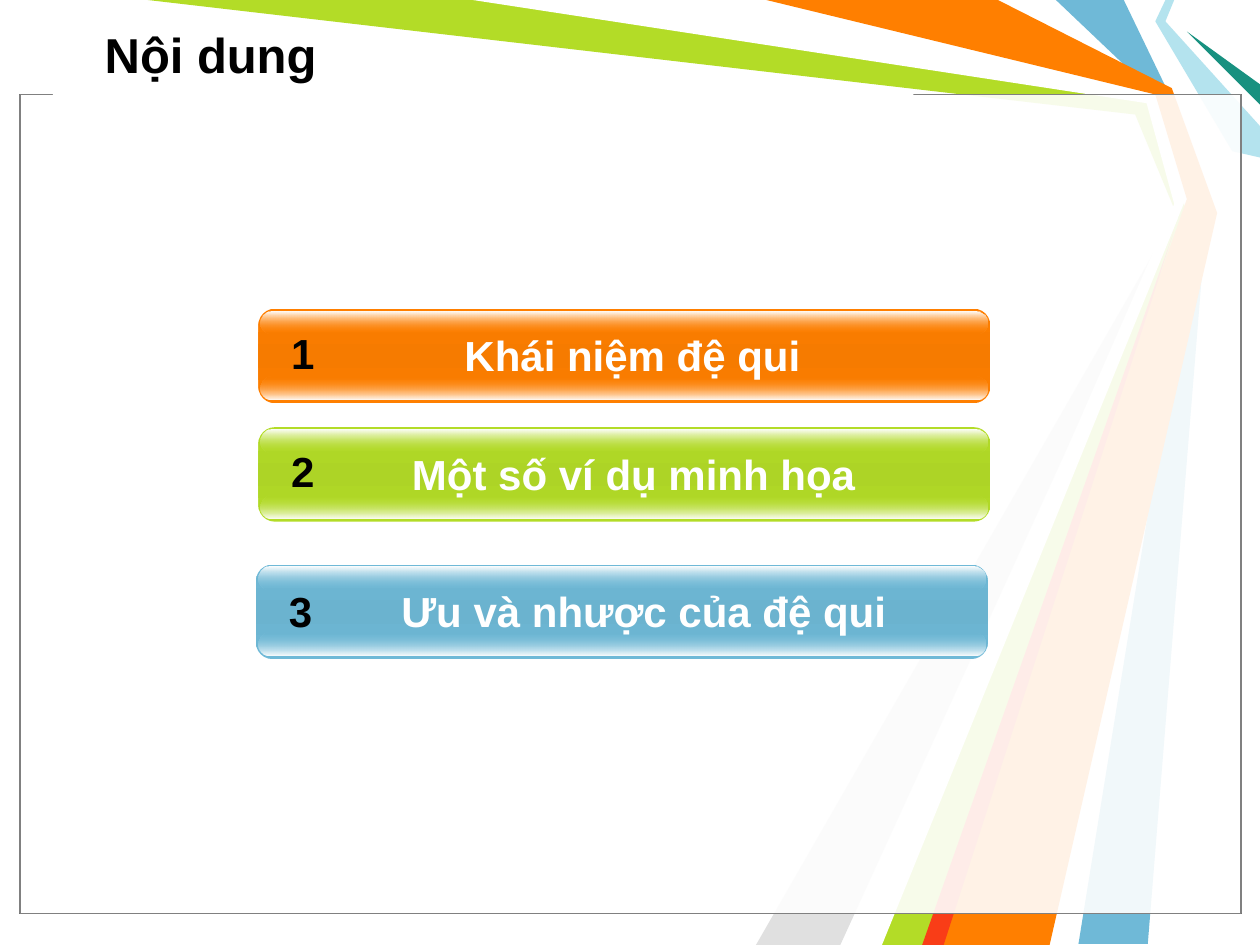
from dataclasses import dataclass

from pptx import Presentation
from pptx.dml.color import RGBColor
from pptx.enum.shapes import MSO_SHAPE
from pptx.enum.text import MSO_ANCHOR, PP_ALIGN
from pptx.oxml import parse_xml
from pptx.oxml.ns import nsdecls
from pptx.util import Pt


@dataclass(frozen=True)
class Theme:
    font: str = "Arial"
    head: int = 28
    body: int = 24
    black: str = "000000"
    white: str = "FFFFFF"
    gray: str = "808080"
    pale: str = "E0E0E0"
    orange: str = "FF7F00"
    green: str = "B3DC27"
    blue: str = "6FB9D7"
    sky: str = "B4E3EE"
    teal: str = "189180"
    red: str = "F93D17"
    veil: int = 69


theme = Theme()

# Ribbons from back to front: colour and corners in points
RIBBONS = [
    (theme.blue, [(642.2, 0), (668.9, 55.4), (689.8, 120.2), (655.9, 539.3),
                  (616.3, 539.3), (684, 120.2), (660.2, 54), (603.4, 0)]),
    (theme.green, [(84.2, 0), (275.8, 0), (658.1, 56.2), (678.2, 121.7),
                   (534.2, 540), (498.2, 540), (673.2, 124.6), (648.7, 65.5)]),
    (theme.pale, [(480.2, 540), (667.4, 130.3), (432, 540)]),
    (theme.white, [(270, 0), (655.2, 59), (671, 116.6), (486, 540),
                   (504, 540), (677.5, 113.8), (660.2, 54), (432, 0)]),
    (theme.sky, [(666, 0), (660.2, 12.2), (704.2, 86.4), (720, 90),
                 (720, 72), (666, 12.2), (671, 0)]),
    (theme.teal, [(720, 59.8), (678.2, 18), (720, 48.2)]),
    (theme.orange, [(437.8, 0), (570.2, 0), (669.6, 50.4), (695.5, 121.7),
                    (599.8, 540), (527.8, 540), (678.2, 113.8), (660.2, 54)]),
    (theme.red, [(527, 540), (671, 131.8), (539.3, 540)]),
]

# Agenda: text, colour, middle shade, bar corner, label shift, number drop
ITEMS = [
    ("Khái niệm đệ qui", theme.orange, "F67B00", (147.6, 176.4), 36.7, 7.2),
    ("Một số ví dụ minh họa", theme.green, "ADD426", (147.6, 244.1), 37.4, 7.2),
    ("Ưu và nhược của đệ qui", theme.blue, "6BB3CF", (146.2, 322.6), 44.6, 8.6),
]


def color(code):
    return RGBColor.from_string(code)


def paint(shape, code):
    shape.fill.solid()
    shape.fill.fore_color.rgb = color(code)
    shape.line.fill.background()
    shape.shadow.inherit = False


def shade(shape, stops):
    """Fill from top to bottom; a stop is (place, colour, opacity), in percent."""
    marks = "".join(
        f'<a:gs pos="{pos * 1000}"><a:srgbClr val="{code}">'
        f'<a:alpha val="{alpha * 1000}"/></a:srgbClr></a:gs>'
        for pos, code, alpha in stops)
    shape._element.spPr.append(parse_xml(
        f'<a:gradFill {nsdecls("a")} rotWithShape="1"><a:gsLst>{marks}</a:gsLst>'
        '<a:lin ang="5400000" scaled="1"/></a:gradFill>'))
    shape.line.fill.background()
    shape.shadow.inherit = False


def style(frame, size, code, align):
    para = frame.paragraphs[0]
    para.alignment = align
    font = para.runs[0].font
    font.name, font.size, font.bold = theme.font, Pt(size), True
    font.color.rgb = color(code)


def add_box(slide, kind, box):
    return slide.shapes.add_shape(kind, *map(Pt, box))


def add_text(slide, box, text, code):
    frame = slide.shapes.add_textbox(*map(Pt, box)).text_frame
    frame.word_wrap = True
    frame.text = text
    style(frame, theme.body, code, PP_ALIGN.CENTER)


def add_ribbon(slide, code, dots):
    first, *rest = [(Pt(x), Pt(y)) for x, y in dots]
    pen = slide.shapes.build_freeform(*first)
    pen.add_line_segments(rest, close=True)
    paint(pen.convert_to_shape(), code)


def add_panel(slide, box):
    # Two veils lie over the ribbons
    for edge in (theme.black, theme.gray):
        veil = add_box(slide, MSO_SHAPE.RECTANGLE, box)
        paint(veil, theme.white)
        tint = veil._element.spPr.find(".//{*}solidFill/{*}srgbClr")
        tint.append(parse_xml(
            f'<a:alpha {nsdecls("a")} val="{theme.veil * 1000}"/>'))
        veil.line.color.rgb = color(edge)
        veil.line.width = Pt(0.75)
    # Gap in the top edge below the title
    left, top = box[:2]
    gap = add_box(slide, MSO_SHAPE.RECTANGLE,
                  (left + 18.7, top - 0.7, 491.8, 12.2))
    paint(gap, theme.white)


def add_title(slide, box, text):
    title = slide.shapes.title
    title.left, title.top, title.width, title.height = map(Pt, box)
    frame = title.text_frame
    frame.text = text
    frame.vertical_anchor = MSO_ANCHOR.MIDDLE
    style(frame, theme.head, theme.black, PP_ALIGN.LEFT)
    # Bring the title in front of the ribbons
    title._element.getparent().append(title._element)


def add_bar(slide, box, code, mid):
    left, top, width, height = box
    bar = add_box(slide, MSO_SHAPE.ROUNDED_RECTANGLE, box)
    bar.adjustments[0] = 0.175
    shade(bar, [(0, code, 100), (50, mid, 100), (100, code, 100)])
    # Gloss along the lower and upper edges
    inset, thick = 1.4, 13
    clear, shine = (code, 0), (theme.white, 100)
    for y, start, end in ((top + height - thick - 2.1, clear, shine),
                          (top + inset, shine, clear)):
        gloss = add_box(slide, MSO_SHAPE.ROUNDED_RECTANGLE,
                        (left + inset, y, width - 2 * inset, thick))
        gloss.adjustments[0] = 0.5
        shade(gloss, [(0, *start), (100, *end)])


def add_item(slide, box, count, item):
    text, code, mid, _, shift, drop = item
    left, top = box[:2]
    add_bar(slide, box, code, mid)
    add_text(slide, (left + shift, top + 8.4, 354.2, 36), text, theme.white)
    add_text(slide, (left + 10.4, top + drop, 30.2, 36), str(count), theme.black)


def main():
    deck = Presentation()
    deck.slide_width, deck.slide_height = Pt(720), Pt(540)
    slide = deck.slides.add_slide(deck.slide_layouts[5])
    for code, dots in RIBBONS:
        add_ribbon(slide, code, dots)
    add_panel(slide, (11.5, 54, 697.7, 468))
    add_title(slide, (52.6, 5.8, 655.9, 49.7), "Nội dung")
    for count, item in enumerate(ITEMS, 1):
        add_item(slide, (*item[3], 418.3, 54), count, item)
    deck.save("out.pptx")


if __name__ == "__main__":
    main()
